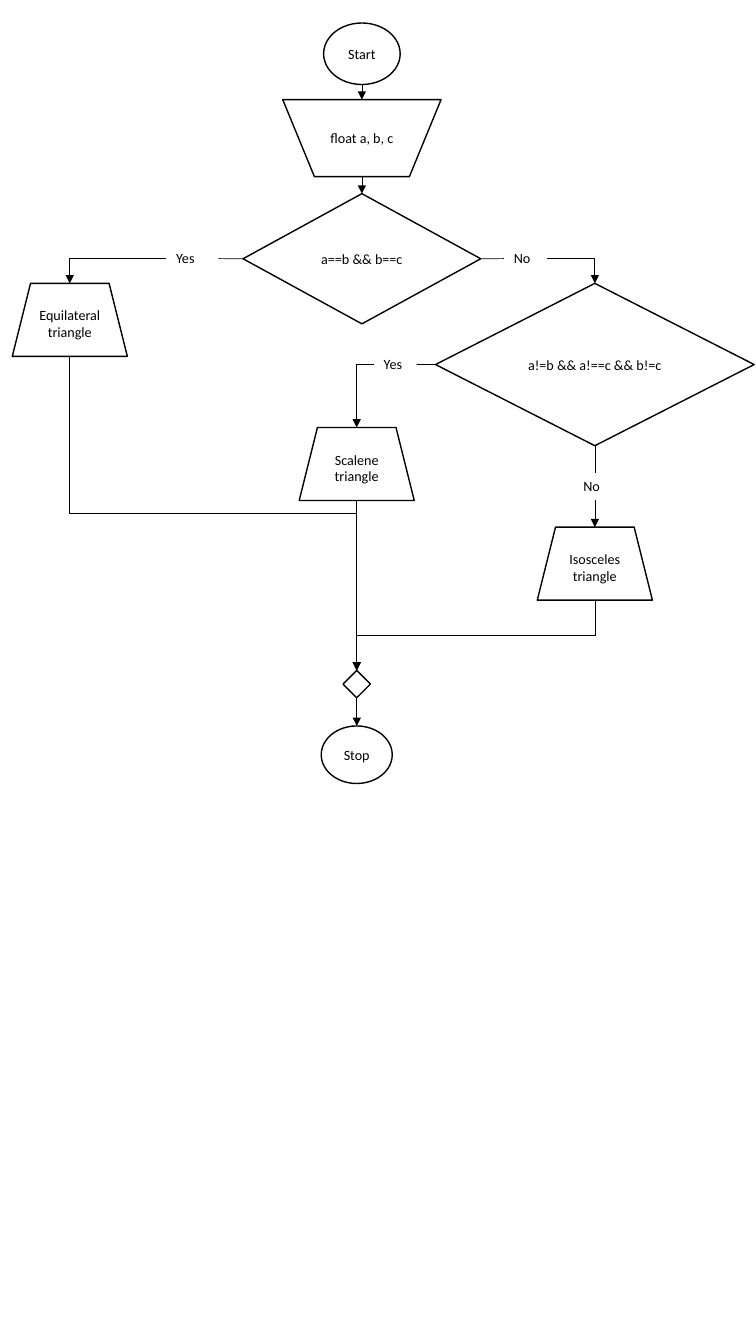
from dataclasses import dataclass
from typing import Optional

from lxml.etree import SubElement
from pptx import Presentation
from pptx.dml.color import RGBColor
from pptx.enum.shapes import MSO_CONNECTOR, MSO_SHAPE
from pptx.enum.text import MSO_ANCHOR, PP_ALIGN
from pptx.oxml.ns import qn
from pptx.util import Cm, Pt

COLORS = {"ink": "000000", "paper": "FFFFFF"}
FONT = "Calibri"

# Column axes, in cm
LEFT, MERGE, MAIN, RIGHT = 1.76, 8.99, 9.12, 14.99
RESULT = (2.9, 1.84)


@dataclass(frozen=True)
class Node:
    """A flowchart box centred on x; a node without a preset is a label."""
    text: str
    x: float
    y: float
    w: float
    h: float
    preset: Optional[MSO_SHAPE] = None
    fill: Optional[str] = None

    @property
    def top(self) -> tuple[float, float]:
        return self.x, self.y

    @property
    def bottom(self) -> tuple[float, float]:
        return self.x, self.y + self.h

    @property
    def left(self) -> tuple[float, float]:
        return self.x - self.w / 2, self.y + self.h / 2

    @property
    def right(self) -> tuple[float, float]:
        return self.x + self.w / 2, self.y + self.h / 2


@dataclass(frozen=True)
class Link:
    start: tuple[float, float]
    end: tuple[float, float]
    route: str = "line"  # "line", "corner" (across, down) or "step" (down, across, down)
    arrow: bool = True


CIRCLE = MSO_SHAPE.FLOWCHART_CONNECTOR
DIAMOND = MSO_SHAPE.DIAMOND
TRAPEZOID = MSO_SHAPE.TRAPEZOID

# Boxes
start = Node("Start", MAIN, 0.58, 1.93, 1.55, CIRCLE)
inputs = Node("float a, b, c", MAIN, 2.51, 3.99, 1.94,
              MSO_SHAPE.FLOWCHART_MANUAL_OPERATION, "paper")
all_equal = Node("a==b && b==c", MAIN, 4.88, 5.99, 3.28, DIAMOND)
all_differ = Node("a!=b && a!==c && b!=c", RIGHT, 7.14, 8.03, 4.09, DIAMOND)
equilateral = Node("Equilateral triangle", LEFT, 7.14, *RESULT, TRAPEZOID)
scalene = Node("Scalene triangle", MERGE, 10.77, *RESULT, TRAPEZOID)
isosceles = Node("Isosceles triangle", RIGHT, 13.28, *RESULT, TRAPEZOID)
merge = Node("", MERGE, 16.89, 0.69, 0.69, DIAMOND)
stop = Node("Stop", MERGE, 18.29, 1.79, 1.45, CIRCLE)

# Branch labels
equal_yes = Node("Yes", 4.85, 6.17, 1.32, 0.69)
equal_no = Node("No", 13.24, 6.17, 1.08, 0.69)
differ_yes = Node("Yes", 9.96, 8.84, 1.08, 0.69)
differ_no = Node("No", RIGHT, 11.91, 1.08, 0.69)

NODES = [start, inputs, all_equal, all_differ, equilateral, scalene, isosceles,
         merge, stop, equal_yes, equal_no, differ_yes, differ_no]

LINKS = [
    Link(start.bottom, inputs.top),
    Link(inputs.bottom, all_equal.top),
    Link(all_equal.left, equal_yes.right, arrow=False),
    Link(equal_yes.left, equilateral.top, "corner"),
    Link(all_equal.right, equal_no.left, arrow=False),
    Link(equal_no.right, all_differ.top, "corner"),
    Link(all_differ.left, differ_yes.right, arrow=False),
    Link(differ_yes.left, scalene.top, "corner"),
    Link(all_differ.bottom, differ_no.top, arrow=False),
    Link(differ_no.bottom, isosceles.top),
    Link(equilateral.bottom, merge.top, "step"),
    Link(scalene.bottom, merge.top),
    Link(isosceles.bottom, merge.top, "step"),
    Link(merge.bottom, stop.top),
]


def rgb(name: str) -> RGBColor:
    return RGBColor.from_string(COLORS[name])


def write(s, text: str, *, align=PP_ALIGN.LEFT, anchor=MSO_ANCHOR.TOP,
          size: float = 10.1, color: str = "ink") -> None:
    tf = s.text_frame
    tf.word_wrap = True
    tf.vertical_anchor = anchor
    p = tf.paragraphs[0]
    p.alignment = align
    r = p.add_run()
    r.text = text
    r.font.name, r.font.size = FONT, Pt(size)
    r.font.color.rgb = rgb(color)


def draw_node(shapes, node: Node) -> None:
    box = [Cm(v) for v in (node.left[0], node.y, node.w, node.h)]
    if node.preset is None:
        write(shapes.add_textbox(*box), node.text)
        return
    s = shapes.add_shape(node.preset, *box)
    s.shadow.inherit = False
    if node.fill:
        s.fill.solid()
        s.fill.fore_color.rgb = rgb(node.fill)
    else:
        s.fill.background()
    s.line.color.rgb = rgb("ink")
    s.line.width = Pt(1)
    if node.text:
        write(s, node.text, align=PP_ALIGN.CENTER, anchor=MSO_ANCHOR.MIDDLE)


def draw_link(shapes, link: Link) -> None:
    (x1, y1), (x2, y2) = link.start, link.end
    if link.route == "step":
        # A quarter turn about the centre makes the elbow leave downwards
        cx, cy, dx, dy = (x1 + x2) / 2, (y1 + y2) / 2, x2 - x1, y2 - y1
        x1, y1, x2, y2 = cx - dy / 2, cy + dx / 2, cx + dy / 2, cy - dx / 2
    kind = MSO_CONNECTOR.STRAIGHT if link.route == "line" else MSO_CONNECTOR.ELBOW
    c = shapes.add_connector(kind, Cm(x1), Cm(y1), Cm(x2), Cm(y2))
    c.line.color.rgb = rgb("ink")
    c.line.width = Pt(0.5)
    sp_pr = c._element.spPr
    if link.route == "step":
        sp_pr.find(qn("a:xfrm")).set("rot", str(90 * 60000))
    elif link.route == "corner":
        sp_pr.find(qn("a:prstGeom")).set("prst", "bentConnector2")
    if link.arrow:
        SubElement(sp_pr.find(qn("a:ln")), qn("a:tailEnd"), type="triangle")
    SubElement(sp_pr, qn("a:effectLst"))


prs = Presentation()
prs.slide_width, prs.slide_height = Cm(19.05), Cm(33.86)
slide = prs.slides.add_slide(prs.slide_layouts[6])

for item in NODES:
    draw_node(slide.shapes, item)
for item in LINKS:
    draw_link(slide.shapes, item)

prs.save("out.pptx")
